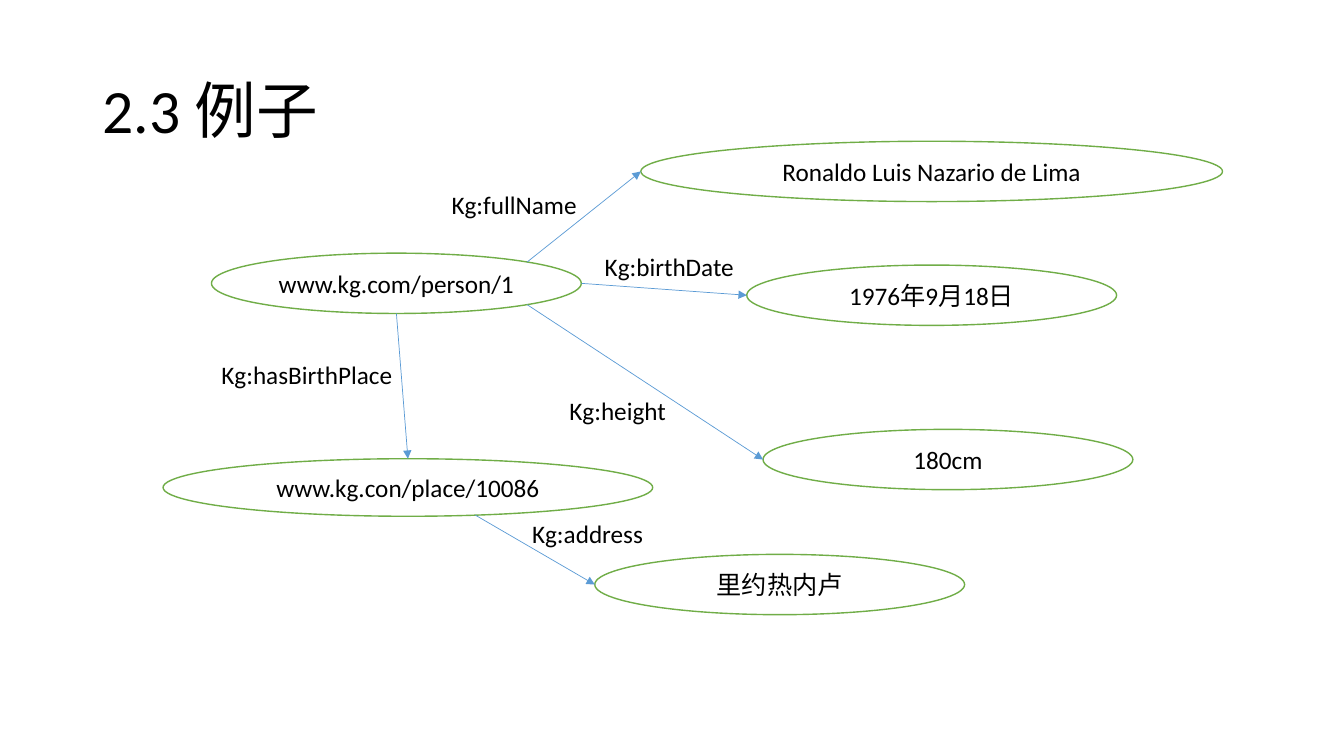
from math import cos, radians, sin

from lxml.etree import SubElement
from pptx import Presentation
from pptx.dml.color import RGBColor
from pptx.enum.shapes import MSO_CONNECTOR, MSO_SHAPE
from pptx.enum.text import MSO_ANCHOR, PP_ALIGN
from pptx.oxml.ns import qn
from pptx.util import Cm, Pt


def color(hex_string):
    return RGBColor.from_string(hex_string)


def write(shape, text, size, alignment):
    paragraph = shape.text_frame.paragraphs[0]
    paragraph.alignment = alignment
    run = paragraph.add_run()
    run.text = text
    run.font.name = "Calibri"
    run.font.size = Pt(size)
    run.font.color.rgb = color("000000")
    return paragraph


presentation = Presentation()
presentation.slide_width = Cm(33.87)
presentation.slide_height = Cm(19.05)
slide = presentation.slides.add_slide(presentation.slide_layouts[5])

title = slide.shapes.title
title.left, title.top, title.width, title.height = Cm(2.33), Cm(1.01), Cm(29.21), Cm(3.68)
title.text_frame.vertical_anchor = MSO_ANCHOR.MIDDLE
write(title, "2.3 例子", 44, PP_ALIGN.LEFT).line_spacing = 0.9

# Nodes of the graph: left, top, width, height in cm, and text
nodes = {
    "person": (5.33, 6.38, 9.32, 1.52, "www.kg.com/person/1"),
    "name": (16.15, 3.56, 14.66, 1.52, "Ronaldo Luis Nazario de Lima"),
    "date": (18.82, 6.68, 9.32, 1.52, "1976年9月18日"),
    "height": (19.23, 10.82, 9.32, 1.52, "180cm"),
    "place": (4.11, 11.56, 12.34, 1.45, "www.kg.con/place/10086"),
    "city": (14.99, 13.97, 9.32, 1.52, "里约热内卢"),
}
for left, top, width, height, text in nodes.values():
    ellipse = slide.shapes.add_shape(
        MSO_SHAPE.OVAL, Cm(left), Cm(top), Cm(width), Cm(height))
    ellipse.shadow.inherit = False
    ellipse.fill.solid()
    ellipse.fill.fore_color.rgb = color("FFFFFF")
    ellipse.line.color.rgb = color("70AD47")
    ellipse.line.width = Pt(1)
    ellipse.text_frame.vertical_anchor = MSO_ANCHOR.MIDDLE
    write(ellipse, text, 18, PP_ALIGN.CENTER)

# Edges: source, target, angles on both ellipses (clockwise from the right),
# then label text with its left, top and width in cm
edges = [
    ("person", "name", -45, 180, "Kg:fullName", 11.13, 4.65, 4.34),
    ("person", "date", 0, 180, "Kg:birthDate", 14.99, 6.2, 4.34),
    ("person", "height", 45, 180, "Kg:height", 14.1, 9.83, 4.34),
    ("person", "place", 90, -90, "Kg:hasBirthPlace", 5.33, 8.92, 5.33),
    ("place", "city", 74, 180, "Kg:address", 13.16, 12.93, 4.34),
]
for source, target, start_angle, end_angle, text, label_left, label_top, label_width in edges:
    ends = []
    for node, angle in ((source, start_angle), (target, end_angle)):
        left, top, width, height, _ = nodes[node]
        ends.append(Cm(left + width / 2 * (1 + cos(radians(angle)))))
        ends.append(Cm(top + height / 2 * (1 + sin(radians(angle)))))
    arrow = slide.shapes.add_connector(MSO_CONNECTOR.STRAIGHT, *ends)
    arrow.line.color.rgb = color("5B9BD5")
    arrow.line.width = Pt(0.5)
    SubElement(arrow.line._get_or_add_ln(), qn("a:tailEnd"), type="triangle")
    SubElement(arrow._element.spPr, qn("a:effectLst"))

    label = slide.shapes.add_textbox(
        Cm(label_left), Cm(label_top), Cm(label_width), Cm(1.02))
    label.text_frame.word_wrap = True
    write(label, text, 18, PP_ALIGN.LEFT)

presentation.save("out.pptx")
